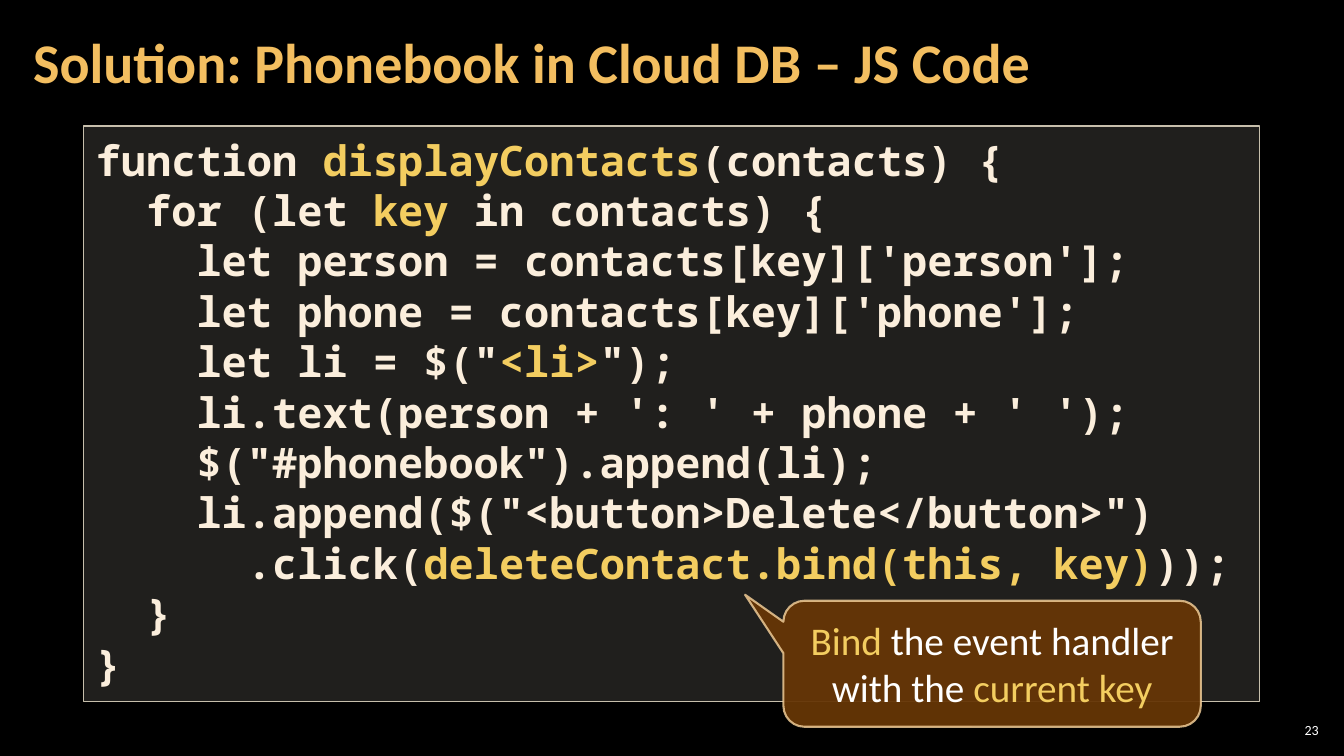
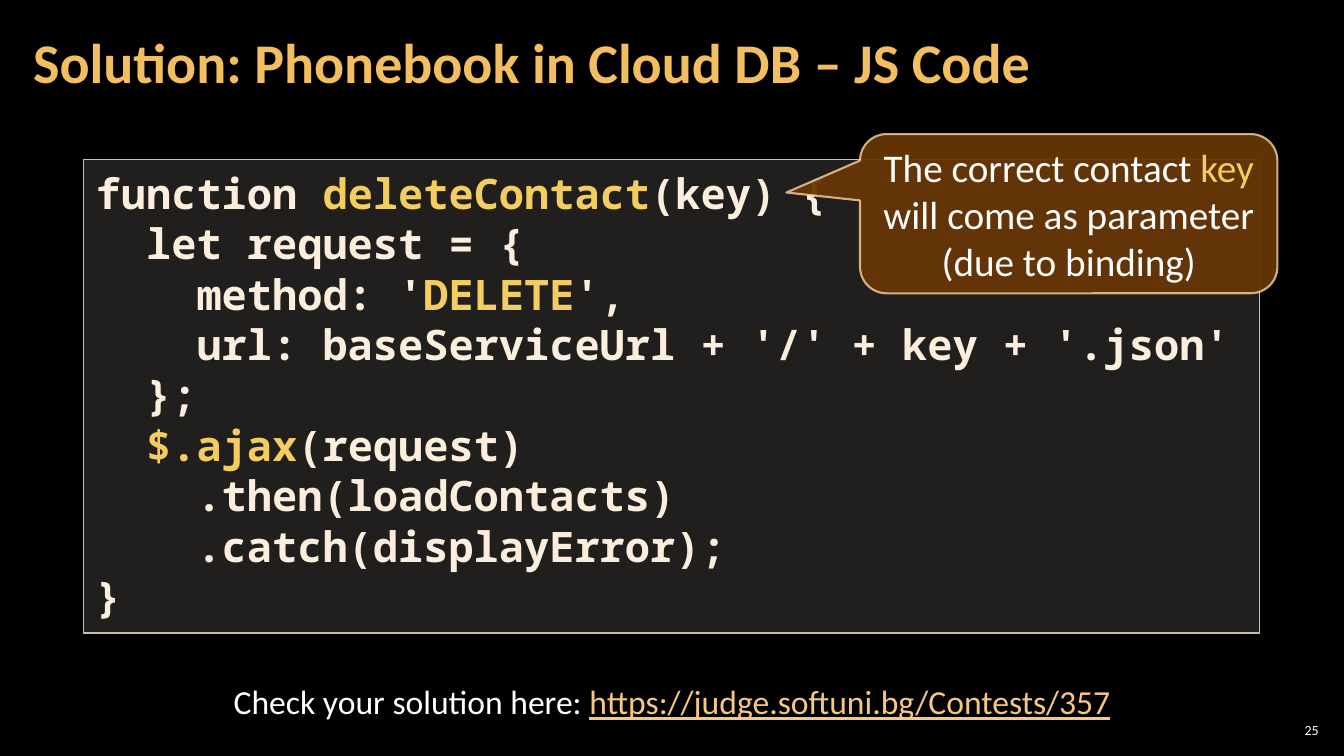
from lxml import etree
from pptx import Presentation
from pptx.dml.color import RGBColor
from pptx.enum import shapes, text
from pptx.oxml import ns
from pptx.util import Inches, Pt

COLORS = {
    "page": "000000", "title": "F3BE60", "plain": "FFFFFF", "code": "FBEEDC",
    "accent": "F3CD60", "link": "F6C781", "panel": "D9D5C7", "panel_edge": "C7BFAC",
    "callout": "663606", "callout_edge": "F8D49E",
}
TITLE_FONT = {"name": "Calibri", "size": Pt(40), "bold": True}
CODE_FONT = {"name": "Noto Sans Mono", "size": Pt(30), "bold": True}
CALLOUT_FONT = {"name": "Calibri", "size": Pt(28)}
LINK_FONT = {"name": "Calibri", "size": Pt(24)}
NUMBER_FONT = {"name": "Calibri", "size": Pt(10)}
TITLE = "Solution: Phonebook in Cloud DB – JS Code"

DISPLAY_CODE = [
    "function |displayContacts|(contacts) {",
    "  for (let |key| in contacts) {",
    "    let person = contacts[key]['person'];",
    "    let phone = contacts[key]['phone'];",
    "    let li = $(\"|<li>|\");",
    "    li.text(person + ': ' + phone + ' ');",
    "    $(\"#phonebook\").append(li);",
    "    li.append($(\"<button>Delete</button>\")",
    "      .click(|deleteContact.bind(this, key)|));",
    "  }",
    "}",
]
DELETE_CODE = [
    "function |deleteContact|(key) {",
    "  let request = {",
    "    method: '|DELETE|',",
    "    url: baseServiceUrl + '/' + key + '.json'",
    "  };",
    "  |$.ajax|(request)",
    "    .then(loadContacts)",
    "    .catch(displayError);",
    "}",
]


def color(name):
    return RGBColor.from_string(COLORS[name])


def apply(target, values):
    for name, value in values.items():
        setattr(target, name, value)


def write(shape, lines, font, plain, accent="accent", align=text.PP_ALIGN.LEFT,
          anchor=text.MSO_ANCHOR.MIDDLE, inset=(0.1, 0.05), spacing=None, accent_font=None):
    frame = shape.text_frame
    side, edge = map(Inches, inset)
    apply(frame, {"word_wrap": True, "vertical_anchor": anchor,
                  "margin_left": side, "margin_right": side,
                  "margin_top": edge, "margin_bottom": edge})
    for index, line in enumerate(lines):
        para = frame.add_paragraph() if index else frame.paragraphs[0]
        apply(para, {"alignment": align, "line_spacing": spacing})
        for position, part in enumerate(line.split("|")):
            if not part:
                continue
            marked = position % 2 == 1
            span = para.add_run()
            span.text = part
            apply(span.font, font)
            if marked:
                apply(span.font, accent_font or {})
            span.font.color.rgb = color(accent if marked else plain)


def add_text(page, box, *content, **layout):
    shape = page.shapes.add_textbox(*map(Inches, box))
    write(shape, *content, **layout)
    return shape


def add_panel(page, kind, box, fill, edge, width, opacities):
    shape = page.shapes.add_shape(kind, *map(Inches, box))
    shape.shadow.inherit = False
    shape.fill.solid()
    shape.fill.fore_color.rgb = color(fill)
    shape.line.color.rgb = color(edge)
    shape.line.width = Pt(width)
    paints = shape.element.spPr.iter(ns.qn("a:srgbClr"))
    for paint, opacity in zip(paints, opacities):
        etree.SubElement(paint, ns.qn("a:alpha"), val=str(opacity * 1000))
    return shape


def add_code(page, box, lines):
    panel = add_panel(page, shapes.MSO_SHAPE.RECTANGLE, box, "panel", "panel_edge", 1, (15, 100))
    write(panel, lines, CODE_FONT, "code", anchor=text.MSO_ANCHOR.TOP, inset=(0.12, 0.08))


def add_callout(page, box, tip, message):
    callout = add_panel(page, shapes.MSO_SHAPE.ROUNDED_RECTANGULAR_CALLOUT, box,
                        "callout", "callout_edge", 1.5, (95, 80))
    left, top, width, height = box
    callout.adjustments[0] = (tip[0] - left) / width - 0.5
    callout.adjustments[1] = (tip[1] - top) / height - 0.5
    callout.adjustments[2] = 0.167
    write(callout, [message], CALLOUT_FONT, "plain", align=text.PP_ALIGN.CENTER)


def add_link(page, box, message):
    add_text(page, box, [message], LINK_FONT, "plain", accent="link",
             align=text.PP_ALIGN.CENTER, anchor=text.MSO_ANCHOR.TOP,
             accent_font={"underline": True})


def add_page(deck, number):
    page = deck.slides.add_slide(deck.slide_layouts[6])
    page.background.fill.solid()
    page.background.fill.fore_color.rgb = color("page")
    add_text(page, (12.65, 7.14, 0.47, 0.21), [str(number)], NUMBER_FONT, "plain",
             align=text.PP_ALIGN.RIGHT, inset=(0.04, 0.04))
    add_text(page, (0.21, 0.04, 10.47, 1.21), [TITLE], TITLE_FONT, "title",
             inset=(0.12, 0.04), spacing=0.9)
    return page


def main():
    deck = Presentation()
    apply(deck, {"slide_width": Inches(13.33), "slide_height": Inches(7.5)})

    display = add_page(deck, 23)
    add_code(display, (0.83, 1.25, 11.66, 5.71), DISPLAY_CODE)
    add_callout(display, (7.77, 5.96, 4.14, 1.25), (7.39, 5.9),
                "|Bind| the event handler with the |current key|")

    delete = add_page(deck, 25)
    add_code(delete, (0.83, 1.58, 11.66, 4.7), DELETE_CODE)
    add_link(delete, (0.89, 6.71, 11.55, 0.5),
             "Check your solution here: |https://judge.softuni.bg/Contests/357|")
    add_callout(delete, (8.53, 1.33, 4.14, 1.58), (7.8, 1.91),
                "The correct contact |key |will come as parameter (due to binding)")

    deck.save("out.pptx")


if __name__ == "__main__":
    main()
